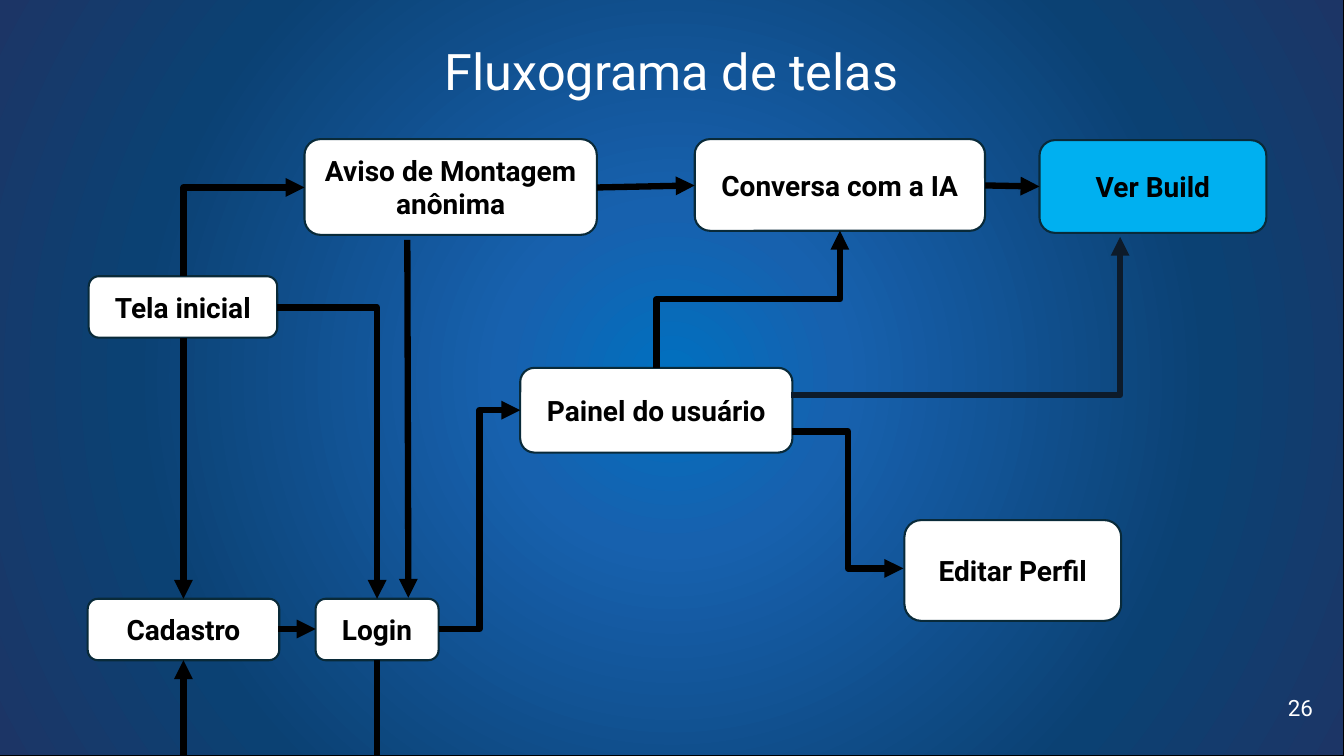
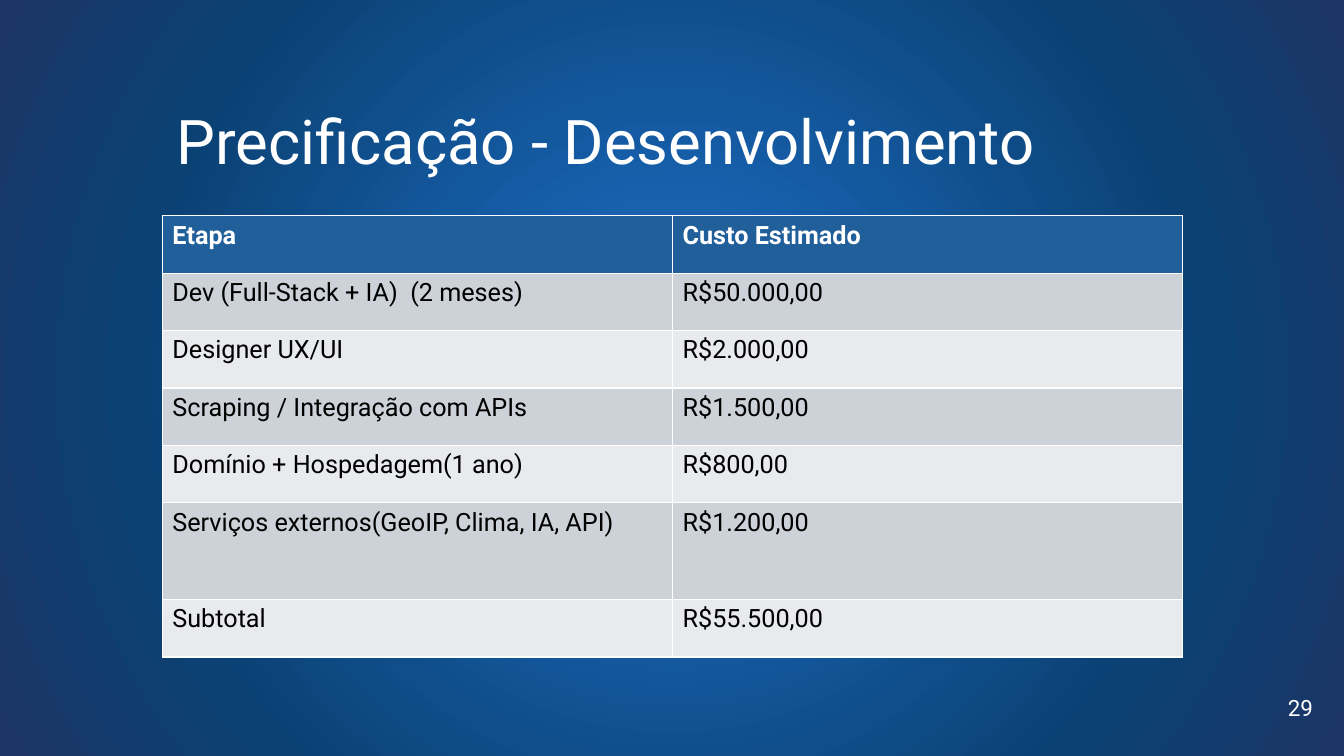
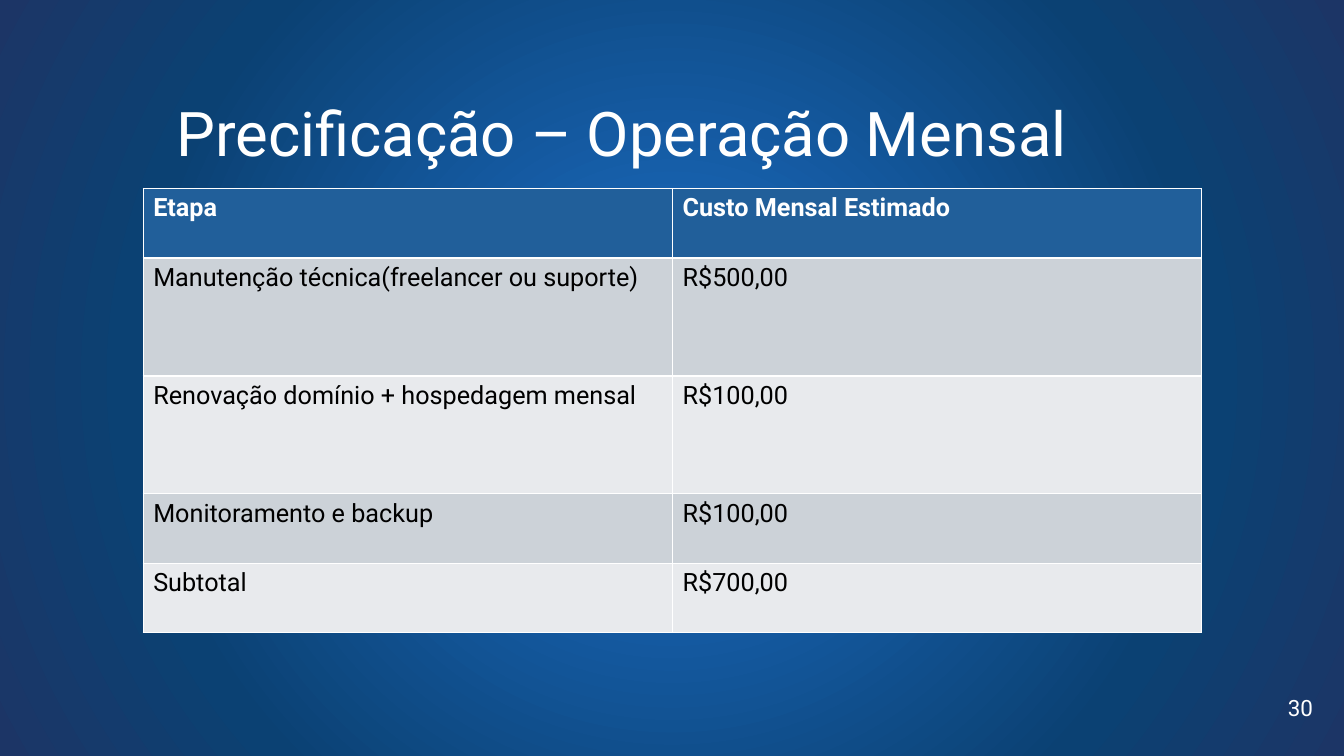
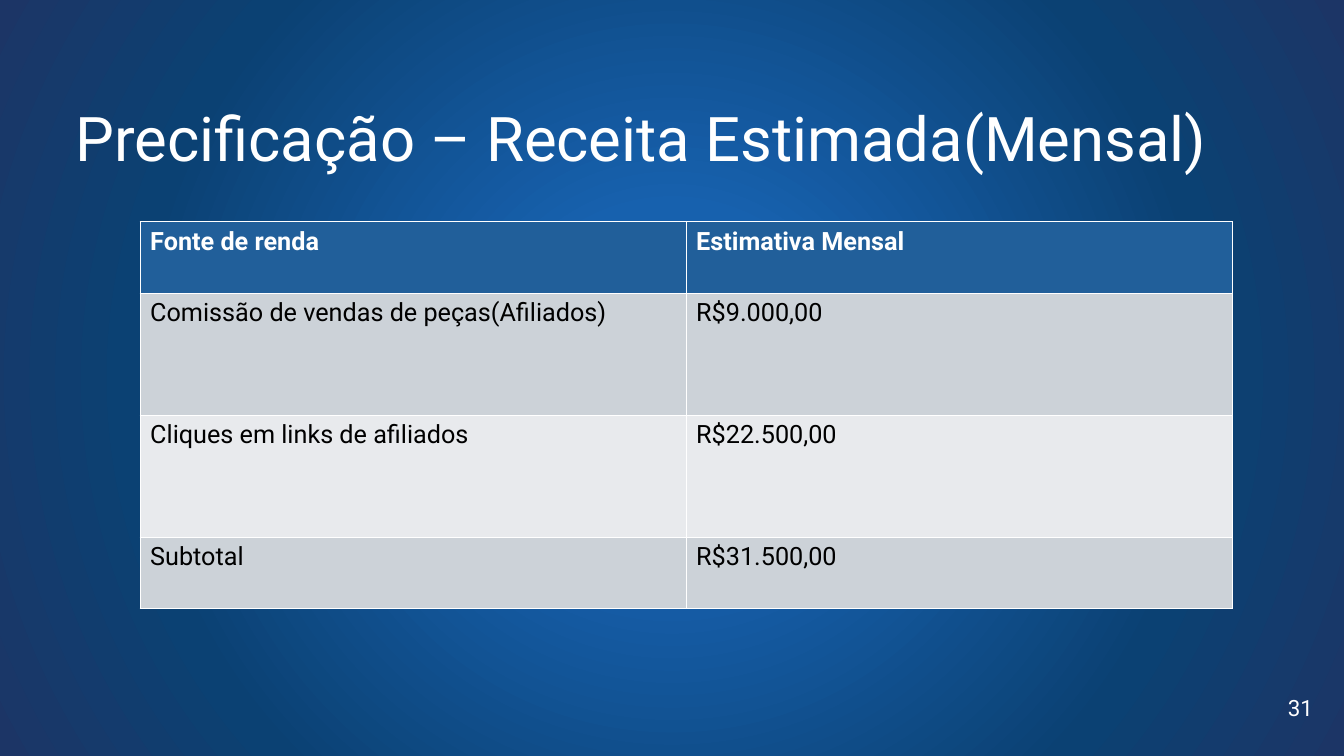
from lxml import etree
from pptx import Presentation
from pptx import util as u
from pptx.dml.color import RGBColor
from pptx.enum import shapes, text
from pptx.oxml import parse_xml
from pptx.oxml.ns import nsdecls, qn

# Shared style
PX = 9144  # EMU per px, 100 px to the inch
WIDTH, HEIGHT = 1333, 750
FONT = "Roboto"
WHITE = RGBColor(0xFF, 0xFF, 0xFF)
BLACK = RGBColor(0x00, 0x00, 0x00)
OUTLINE = RGBColor(0x09, 0x2A, 0x39)
HIGHLIGHT = RGBColor(0x00, 0xB0, 0xF0)
DARK_NAVY = RGBColor(0x0D, 0x1B, 0x2A)
HEADER_FILL = RGBColor(0x21, 0x5F, 0x9A)
BAND_FILLS = (RGBColor(0xCC, 0xD2, 0xD8), RGBColor(0xE8, 0xEA, 0xED))
GRADIENT = (
    (0, RGBColor(0x00, 0x70, 0xC0)),
    (22, RGBColor(0x17, 0x61, 0xAE)),
    (70, RGBColor(0x0B, 0x41, 0x73)),
    (100, RGBColor(0x1C, 0x35, 0x66)),
)


def px(*lengths):
    return [u.Emu(round(length * PX)) for length in lengths]


class Deck:
    """Holds the style and the current slide."""

    def __init__(self):
        self.presentation = Presentation()
        self.presentation.slide_width, self.presentation.slide_height = px(WIDTH, HEIGHT)
        self.slide = None

    def new_slide(self, title, number, title_box, size=44, align=text.PP_ALIGN.LEFT, framed=False):
        self.slide = self.presentation.slides.add_slide(self.presentation.slide_layouts[5])
        self.background(framed)
        self.title(title, title_box, size, align)
        self.page_number(number)

    def set_text(self, frame, words, size, color, align=text.PP_ALIGN.LEFT, bold=False):
        frame.text = words
        paragraph = frame.paragraphs[0]
        paragraph.alignment = align
        for run in paragraph.runs:
            run.font.name = FONT
            run.font.size = u.Pt(size)
            run.font.bold = bold
            run.font.color.rgb = color

    def background(self, framed):
        shape = self.slide.shapes.add_shape(shapes.MSO_SHAPE.RECTANGLE, *px(0, 0, WIDTH, HEIGHT))
        shape.shadow.inherit = False
        if framed:
            shape.line.color.rgb = BLACK
            shape.line.width = u.Pt(0.75)
        else:
            shape.line.fill.background()
        # Circular gradient, centred on the slide
        stops = "".join(
            f'<a:gs pos="{position * 1000}"><a:srgbClr val="{color}"/></a:gs>'
            for position, color in GRADIENT
        )
        gradient = parse_xml(
            f'<a:gradFill {nsdecls("a")} rotWithShape="1"><a:gsLst>{stops}</a:gsLst>'
            '<a:path path="circle"><a:fillToRect l="50000" t="50000" r="50000" b="50000"/>'
            "</a:path></a:gradFill>"
        )
        shape._element.spPr.find(qn("a:prstGeom")).addnext(gradient)
        # Send behind the title placeholder
        self.slide.shapes._spTree.insert(2, shape._element)

    def title(self, words, box, size, align):
        shape = self.slide.shapes.title
        shape.left, shape.top, shape.width, shape.height = px(*box)
        frame = shape.text_frame
        frame.word_wrap = True
        frame.vertical_anchor = text.MSO_ANCHOR.TOP
        frame.auto_size = text.MSO_AUTO_SIZE.SHAPE_TO_FIT_TEXT
        self.set_text(frame, words, size, WHITE, align)

    def page_number(self, number):
        frame = self.slide.shapes.add_textbox(*px(1256, 682, 56, 40)).text_frame
        frame.word_wrap = True
        frame.vertical_anchor = text.MSO_ANCHOR.MIDDLE
        self.set_text(frame, str(number), 16, WHITE, text.PP_ALIGN.RIGHT)

    def screen(self, label, box, fill=WHITE):
        shape = self.slide.shapes.add_shape(shapes.MSO_SHAPE.ROUNDED_RECTANGLE, *px(*box))
        shape.shadow.inherit = False
        shape.fill.solid()
        shape.fill.fore_color.rgb = fill
        shape.line.color.rgb = OUTLINE
        shape.line.width = u.Pt(1.5)
        shape.text_frame.vertical_anchor = text.MSO_ANCHOR.MIDDLE
        self.set_text(shape.text_frame, label, 20, BLACK, text.PP_ALIGN.CENTER, bold=True)

    def line(self, begin, end, kind=shapes.MSO_CONNECTOR.STRAIGHT, color=BLACK, arrow=True):
        connector = self.slide.shapes.add_connector(kind, *px(*begin, *end))
        connector.line.color.rgb = color
        connector.line.width = u.Pt(4.5)
        properties = connector._element.spPr
        if arrow:
            etree.SubElement(properties.find(qn("a:ln")), qn("a:tailEnd"), type="triangle")
        etree.SubElement(properties, qn("a:effectLst"))
        return connector

    def elbow(self, begin, end, corners=2, upright=False, color=BLACK):
        """Bent arrow; an upright one leaves vertically, as a quarter turn of a level one."""
        if upright:
            (x1, y1), (x2, y2) = begin, end
            middle_x, middle_y = (x1 + x2) / 2, (y1 + y2) / 2
            half_x, half_y = (x2 - x1) / 2, (y2 - y1) / 2
            begin = middle_x - half_y, middle_y + half_x
            end = middle_x + half_y, middle_y - half_x
        connector = self.line(begin, end, shapes.MSO_CONNECTOR.ELBOW, color)
        properties = connector._element.spPr
        properties.find(qn("a:prstGeom")).set("prst", f"bentConnector{corners + 1}")
        if upright:
            properties.find(qn("a:xfrm")).set("rot", "5400000")

    def table(self, left, top, width, heights, rows):
        frame = self.slide.shapes.add_table(
            len(rows), len(rows[0]), *px(left, top, width, sum(heights))
        )
        table = frame.table
        for column in table.columns:
            column.width = px(width / len(rows[0]))[0]
        for index, (height, values) in enumerate(zip(heights, rows)):
            header = index == 0
            table.rows[index].height = px(height)[0]
            for cell, value in zip(table.rows[index].cells, values):
                cell.fill.solid()
                cell.fill.fore_color.rgb = HEADER_FILL if header else BAND_FILLS[(index - 1) % 2]
                self.set_text(cell.text_frame, value, 18, WHITE if header else BLACK, bold=header)


def flowchart(deck):
    deck.new_slide("Fluxograma de telas", 26, (119, 35, 1094, 71), 36,
                   text.PP_ALIGN.CENTER, framed=True)
    # Screens
    deck.screen("Tela inicial", (88, 274, 187, 61))
    deck.screen("Login", (313, 594, 122, 61))
    deck.screen("Aviso de Montagem anônima", (302, 138, 290, 95))
    deck.screen("Cadastro", (87, 594, 190, 61))
    deck.screen("Painel do usuário", (516, 365, 270, 84))
    deck.screen("Editar Perfil", (897, 516, 215, 100))
    deck.screen("Conversa com a IA", (689, 138, 288, 91))
    deck.screen("Ver Build", (1031, 139, 225, 92), HIGHLIGHT)
    # Straight arrows
    for begin, end in (
        ((592, 186), (689, 184)),
        ((977, 184), (1031, 185)),
        ((276, 624), (313, 624)),
        ((182, 335), (182, 594)),
        ((404, 238), (405, 593)),
        ((182, HEIGHT), (182, 655)),
    ):
        deck.line(begin, end)
    deck.line((374, 655), (374, HEIGHT), arrow=False)
    # Bent arrows
    deck.elbow((275, 305), (374, 594), corners=1)
    deck.elbow((182, 274), (302, 186), corners=1, upright=True)
    deck.elbow((435, 624), (516, 407))
    deck.elbow((651, 365), (833, 229), upright=True)
    deck.elbow((786, 428), (896, 564))
    deck.elbow((785, 392), (1111, 235), corners=1, color=DARK_NAVY)


def development_costs(deck):
    deck.new_slide("Precificação - Desenvolvimento", 29, (165, 97, 1004, 84))
    deck.table(161, 214, 1012, (57, 57, 57, 57, 57, 96, 57), (
        ("Etapa", "Custo Estimado"),
        ("Dev (Full-Stack + IA)  (2 meses)", "R$50.000,00"),
        ("Designer UX/UI", "R$2.000,00"),
        ("Scraping / Integração com APIs", "R$1.500,00"),
        ("Domínio + Hospedagem(1 ano)", "R$800,00"),
        ("Serviços externos(GeoIP, Clima, IA, API)", "R$1.200,00"),
        ("Subtotal", "R$55.500,00"),
    ))


def monthly_costs(deck):
    deck.new_slide("Precificação – Operação Mensal", 30, (165, 89, 1004, 84))
    deck.table(142, 187, 1050, (69, 117, 117, 69, 69), (
        ("Etapa", "Custo Mensal Estimado"),
        ("Manutenção técnica(freelancer ou suporte)", "R$500,00"),
        ("Renovação domínio + hospedagem mensal", "R$100,00"),
        ("Monitoramento e backup", "R$100,00"),
        ("Subtotal", "R$700,00"),
    ))


def monthly_revenue(deck):
    deck.new_slide("Precificação – Receita Estimada(Mensal)", 31, (65, 94, 1230, 84))
    deck.table(139, 220, 1083, (71, 121, 121, 71), (
        ("Fonte de renda", "Estimativa Mensal"),
        ("Comissão de vendas de peças(Afiliados)", "R$9.000,00"),
        ("Cliques em links de afiliados", "R$22.500,00"),
        ("Subtotal", "R$31.500,00"),
    ))


def main():
    deck = Deck()
    for build in (flowchart, development_costs, monthly_costs, monthly_revenue):
        build(deck)
    deck.presentation.save("out.pptx")


if __name__ == "__main__":
    main()
